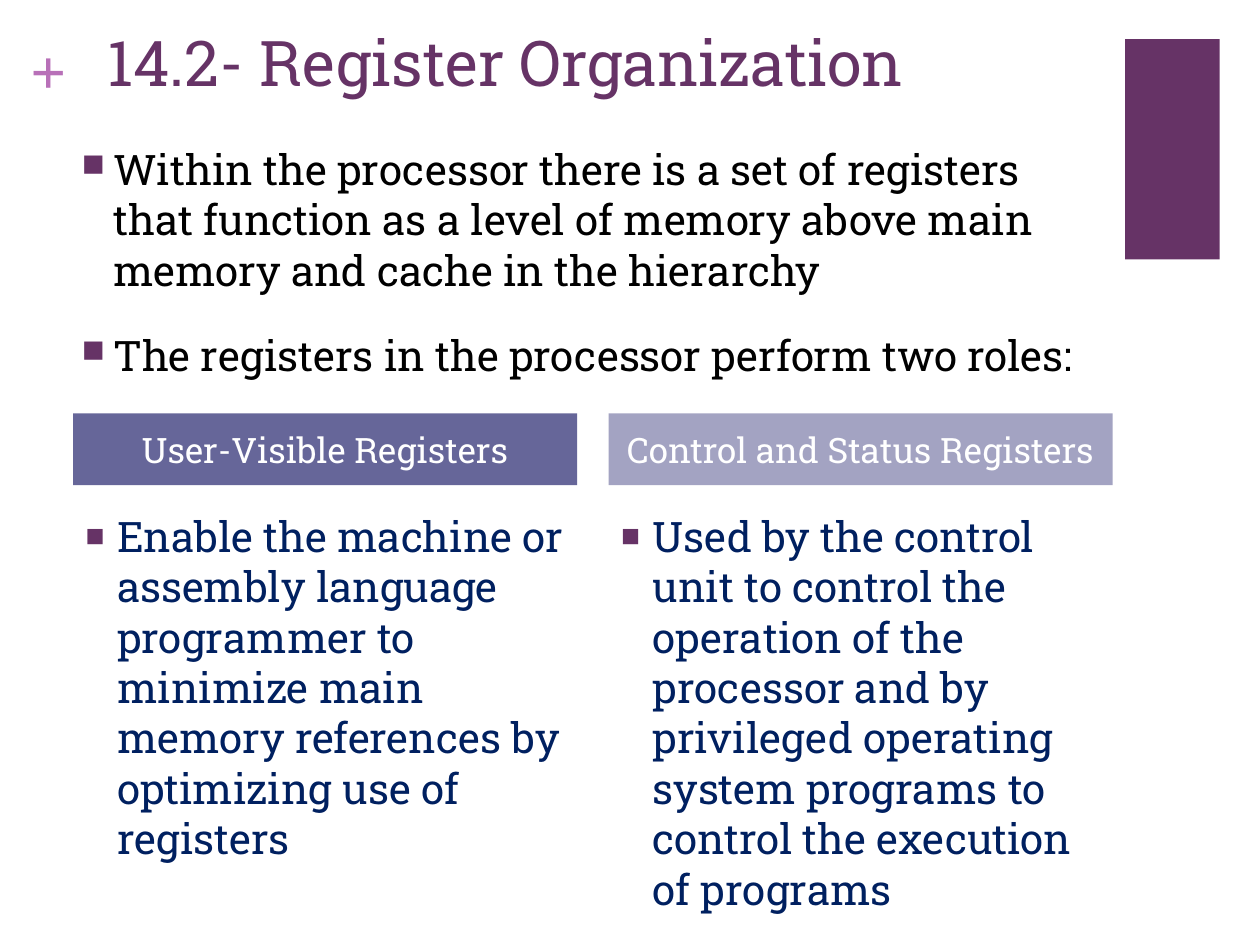
from dataclasses import dataclass

from lxml import etree
from pptx import Presentation
from pptx.dml.color import RGBColor
from pptx.enum import shapes, text
from pptx.oxml import ns
from pptx.util import Inches, Pt

COLORS = {
    "plum": "663366",
    "orchid": "B870B8",
    "indigo": "666699",
    "lavender": "A3A3C2",
    "navy": "002060",
    "black": "000000",
    "white": "FFFFFF",
}
FONT = "Roboto Slab"
COMPARISON_LAYOUT = 4
COLUMN_WIDTH = 4
COLUMN_LEFT = 0.58
COLUMN_STEP = 4.25


@dataclass
class Role:
    heading: str
    fill: str
    detail: str
    detail_height: float
    heading_index: int
    detail_index: int


INTRO = [
    "Within the processor there is a set of registers that function as a level "
    "of memory above main memory and cache in the hierarchy",
    "The registers in the processor perform two roles:",
]
ROLES = [
    Role("User-Visible Registers", "indigo",
         "Enable the machine or assembly language programmer to minimize main "
         "memory references by optimizing use of registers", 2.32, 1, 2),
    Role("Control and Status Registers", "lavender",
         "Used by the control unit to control the operation of the processor and "
         "by privileged operating system programs to control the execution of "
         "programs", 2.41, 3, 4),
]


def rgb(name: str) -> RGBColor:
    return RGBColor.from_string(COLORS[name])


def place(shape, left: float, top: float, width: float, height: float) -> None:
    shape.left, shape.top = Inches(left), Inches(top)
    shape.width, shape.height = Inches(width), Inches(height)


def add_bullet(para) -> None:
    """Give the paragraph a hanging square bullet and space above."""
    para.space_before = Pt(20)
    properties = para._p.get_or_add_pPr()
    properties.set("marL", str(Inches(0.25)))
    properties.set("indent", str(Inches(-0.25)))
    color = etree.SubElement(properties, ns.qn("a:buClr"))
    etree.SubElement(color, ns.qn("a:srgbClr"), val=COLORS["plum"])
    etree.SubElement(properties, ns.qn("a:buSzPct"), val="75000")
    etree.SubElement(properties, ns.qn("a:buChar"), char="■")


def write(box, lines: list[str], *, size: float, color: str, font: str = FONT,
          bold: bool = False, bullet: bool = False,
          align=text.PP_ALIGN.LEFT, anchor=text.MSO_ANCHOR.TOP,
          fit=text.MSO_AUTO_SIZE.NONE, inset_x: float = 0.1,
          inset_y: float = 0.05) -> None:
    frame = box.text_frame
    frame.word_wrap = True
    frame.auto_size = fit
    frame.vertical_anchor = anchor
    frame.margin_left = frame.margin_right = Inches(inset_x)
    frame.margin_top = frame.margin_bottom = Inches(inset_y)
    for number, line in enumerate(lines):
        para = frame.add_paragraph() if number else frame.paragraphs[0]
        para.alignment = align
        if bullet:
            add_bullet(para)
        span = para.add_run()
        span.text = line
        span.font.size = Pt(size)
        span.font.name = font
        span.font.bold = bold
        span.font.color.rgb = rgb(color)


def draw_decoration(page) -> None:
    block = page.shapes.add_shape(shapes.MSO_SHAPE.RECTANGLE, Inches(8.93),
                                  Inches(0.31), Inches(0.75), Inches(1.75))
    block.shadow.inherit = False
    block.fill.solid()
    block.fill.fore_color.rgb = rgb("plum")
    block.line.fill.background()
    plus = page.shapes.add_textbox(Inches(0.24), Inches(0.25),
                                   Inches(0.29), Inches(0.61))
    write(plus, ["+"], size=36, color="orchid", font="Times New Roman", bold=True,
          fit=text.MSO_AUTO_SIZE.SHAPE_TO_FIT_TEXT, inset_x=0, inset_y=0)


def draw_role(page, role: Role, left: float) -> None:
    holders = {item.placeholder_format.idx: item for item in page.placeholders}
    detail = holders[role.detail_index]
    place(detail, left, 4, COLUMN_WIDTH, role.detail_height)
    write(detail, [role.detail], size=24, color="navy", bullet=True)

    heading = holders[role.heading_index]
    place(heading, left, 3.28, COLUMN_WIDTH, 0.57)
    heading.fill.solid()
    heading.fill.fore_color.rgb = rgb(role.fill)
    write(heading, [role.heading], size=20, color="white", inset_y=0,
          align=text.PP_ALIGN.CENTER, anchor=text.MSO_ANCHOR.MIDDLE)


def main() -> None:
    deck = Presentation()
    deck.slide_width, deck.slide_height = Inches(10), Inches(7.5)
    page = deck.slides.add_slide(deck.slide_layouts[COMPARISON_LAYOUT])
    draw_decoration(page)

    title = page.shapes.title
    place(title, 0.75, 0.16, 8.26, 0.66)
    write(title, ["14.2- Register Organization"], size=36, color="plum",
          anchor=text.MSO_ANCHOR.MIDDLE)

    for column, role in enumerate(ROLES):
        draw_role(page, role, COLUMN_LEFT + column * COLUMN_STEP)

    intro = page.shapes.add_textbox(Inches(0.55), Inches(1.09),
                                    Inches(8.31), Inches(2))
    write(intro, INTRO, size=24, color="black", bullet=True,
          fit=text.MSO_AUTO_SIZE.SHAPE_TO_FIT_TEXT)
    deck.save("out.pptx")


if __name__ == "__main__":
    main()
